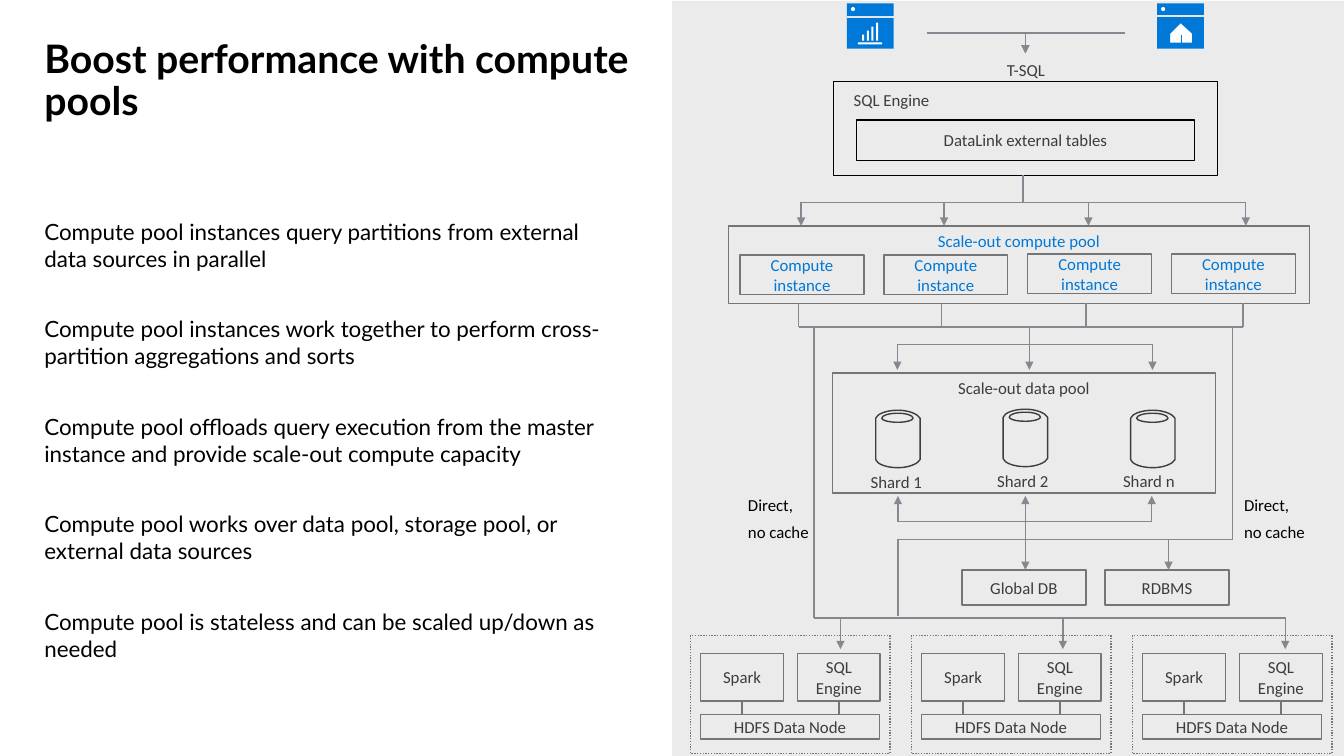
import pptx
import pptx.dml.color
import pptx.enum.dml
import pptx.enum.shapes
import pptx.enum.text
import pptx.oxml
import pptx.oxml.ns
import pptx.util

color = pptx.dml.color.RGBColor.from_string
kinds = pptx.enum.shapes.MSO_SHAPE
wires = pptx.enum.shapes.MSO_CONNECTOR
aligns = pptx.enum.text.PP_ALIGN
anchors = pptx.enum.text.MSO_ANCHOR
points = pptx.util.Pt
cell = pptx.util.Inches(0.01)
drawing = pptx.oxml.ns.nsdecls("a")

INK, BLUE, BLACK, WHITE = "3C3C41", "0078D7", "000000", "FFFFFF"
EDGE, WIRE = "757575", "878790"

deck = pptx.Presentation()
deck.slide_width, deck.slide_height = 1333 * cell, 750 * cell
page = deck.slides.add_slide(deck.slide_layouts[1])


def add_box(kind, at, words="", ink=INK, fill=None, edge=None, align=aligns.CENTER,
            spacing=None, after=0, **frame_format):
    place = [round(length * cell) for length in at]
    if kind is None:
        box = page.shapes.add_textbox(*place)
    else:
        if isinstance(kind, list):
            corners = [(round(x * cell), round(y * cell)) for x, y in kind]
            builder = page.shapes.build_freeform(*corners[0])
            builder.add_line_segments(corners[1:], close=True)
            box = builder.convert_to_shape()
        else:
            box = page.shapes.add_shape(kind, *place)
        box.shadow.inherit = False
        if fill:
            box.fill.solid()
            box.fill.fore_color.rgb = color(fill)
        else:
            box.fill.background()
        if edge:
            box.line.color.rgb = color(edge)
            box.line.width = points(1)
        else:
            box.line.fill.background()
    if words:
        frame = box.text_frame
        for name, value in {"word_wrap": True, "vertical_anchor": anchors.TOP, **frame_format}.items():
            setattr(frame, name, value)
        for index, wording in enumerate(words.split("\n")):
            para = frame.add_paragraph() if index else frame.paragraphs[0]
            for name, value in {"alignment": align, "line_spacing": spacing, "space_after": points(after)}.items():
                setattr(para, name, value)
            span = para.add_run()
            span.text = wording
            span.font.color.rgb = color(ink)
            for name, value in {"name": "Calibri", "size": points(12)}.items():
                setattr(span.font, name, value)
    return box


def add_wire(x1, y1, x2, y2, arrow=False, ink=WIRE, weight=1, bent=False):
    ends = [round(length * cell) for length in (x1, y1, x2, y2)]
    wire = page.shapes.add_connector(wires.ELBOW if bent else wires.STRAIGHT, *ends)
    if bent:
        wire._element.spPr.find(pptx.oxml.ns.qn("a:prstGeom")).set("prst", "bentConnector2")
    wire.line.color.rgb = color(ink)
    wire.line.width = points(weight)
    if arrow:
        wire.line._get_or_add_ln().append(pptx.oxml.parse_xml(f'<a:tailEnd {drawing} type="triangle"/>'))
    wire._element.spPr.append(pptx.oxml.parse_xml(f'<a:effectLst {drawing}/>'))


points_made = [
    "Compute pool instances query partitions from external data sources in parallel",
    "Compute pool instances work together to perform cross-partition aggregations and sorts",
    "Compute pool offloads query execution from the master instance and provide scale-out compute capacity",
    "Compute pool works over data pool, storage pool, or external data sources",
    "Compute pool is stateless and can be scaled up/down as needed",
]
title, body = page.shapes.title, page.placeholders[1]
for holder, at, lines, size, bold, spacing, gap in (
    (title, (34, 34, 620, 98), ["Boost performance with compute pools"], 28, True, 0.9, 0),
    (body, (34, 211.4, 598, 500), points_made, 16, False, 1.0, 31.2),
):
    holder.left, holder.top, holder.width, holder.height = [round(length * cell) for length in at]
    frame = holder.text_frame
    for name, value in {"word_wrap": True, "vertical_anchor": anchors.TOP,
                        "auto_size": pptx.enum.text.MSO_AUTO_SIZE.NONE}.items():
        setattr(frame, name, value)
    for index, wording in enumerate(lines):
        para = frame.add_paragraph() if index else frame.paragraphs[0]
        for name, value in {"alignment": aligns.LEFT, "line_spacing": spacing,
                            "space_before": points(gap if index else 0), "space_after": points(0)}.items():
            setattr(para, name, value)
        properties = para._p.get_or_add_pPr()
        properties.set("marL", "0")
        properties.set("indent", "0")
        properties.append(pptx.oxml.parse_xml(f'<a:buNone {drawing}/>'))
        span = para.add_run()
        span.text = wording
        span.font.color.rgb = color(BLACK)
        for name, value in {"name": "Lato", "size": points(size), "bold": bold}.items():
            setattr(span.font, name, value)

add_box(kinds.RECTANGLE, (666.6, 1, 668, 750), fill="EBEBEB")

for left, bar in ((840, 17), (1147.6, 16)):
    add_box(kinds.RECTANGLE, (left, 3.3, 46.4, 45), fill=BLUE)
    add_wire(left + 46.4, bar, left, bar, ink="E6E6E6", weight=1.5)
    add_box(kinds.OVAL, (left + 4, 7, 4, 4), fill=WHITE)
add_box(kinds.RECTANGLE, (851, 42, 24, 2), fill=WHITE)
for index, height in enumerate((6, 10, 14, 18)):
    add_box(kinds.RECTANGLE, (855 + 4.67 * index, 40.4 - height, 2, height), fill=WHITE)
house = [(1160, 43), (1160, 33), (1171, 22), (1183, 33), (1183, 43)]
add_box(house, (), fill=WHITE, edge=BLUE)
add_wire(1172, 35, 1172, 43, ink=BLUE)

for start in (919, 1116):
    add_wire(start, 32.6, 1017, 53, arrow=True, bent=True)
add_box(None, (952, 57, 131, 28), "T-SQL", spacing=0.9)
add_box(kinds.RECTANGLE, (826.6, 81, 381, 93), "SQL Engine", edge=BLACK, align=aligns.LEFT, spacing=0.9,
        margin_left=20 * cell, margin_top=10 * cell, margin_right=20 * cell, margin_bottom=16 * cell)
add_box(kinds.RECTANGLE, (849.6, 119, 335, 40), "DataLink external tables", edge=BLACK,
        vertical_anchor=anchors.MIDDLE)

add_wire(1014.6, 200, 1014.6, 174)
add_wire(794, 201, 1236, 201)
add_box(kinds.RECTANGLE, (722.6, 224.4, 576, 77), "Scale-out compute pool", ink=BLUE, edge=EDGE)
for index, entry in enumerate((794.6, 936.4, 1079.6, 1235.6)):
    add_wire(entry, 200, entry, 224, arrow=True)
    add_box(kinds.RECTANGLE, (734 + 142.6 * index, 253 - index // 2, 123, 39), "Compute instance",
            ink=BLUE, edge=EDGE, vertical_anchor=anchors.MIDDLE)
    add_wire(entry - 2.6, 324, entry - 2.6, 301)
add_wire(792, 324.4, 1233, 324.4)

add_wire(1021, 324, 1021, 350)
add_wire(890, 342, 1144, 342)
add_box(kinds.RECTANGLE, (825.6, 370, 380, 119), "Scale-out data pool", edge=EDGE)
add_wire(890, 517.6, 1142, 517.6)
cylinder_path = (
    ("M", (22, 3)), ("C", (13, 3, 6, 5, 6, 8)), ("C", (6, 10, 13, 12, 22, 12)),
    ("C", (30, 12, 37, 10, 37, 8)), ("C", (37, 5, 30, 3, 22, 3)), ("Z", ()),
    ("M", (22, 0)), ("C", (33, 0, 42, 4, 44, 8)), ("L", (44, 49)), ("C", (42, 53, 33, 57, 22, 57)),
    ("C", (10, 57, 1, 53, 0, 49)), ("L", (0, 8)), ("C", (1, 4, 10, 0, 22, 0)), ("Z", ()),
)
commands = {"M": "moveTo", "L": "lnTo", "C": "cubicBezTo", "Z": "close"}
for shard, drum_left, drum_top, middle, entry, label_left, label_top, source in (
    ("Shard 1", 868.6, 407, 890.6, 890, 852.5, 465, 518),
    ("Shard 2", 995, 406, 1017, 1021, 978, 464, 535),
    ("Shard n", 1121.4, 407, 1142.4, 1143, 1103, 464, 518),
):
    add_wire(entry, 342, entry, 367, arrow=True)
    add_wire(middle, source, middle, 492, arrow=True)
    add_box(None, (label_left, label_top, 73, 28), shard, spacing=0.9, word_wrap=False)
    frame_corners = [(drum_left + x, drum_top + y) for x, y in ((0, 0), (44, 0), (44, 57), (0, 57))]
    cylinder = add_box(frame_corners, (), edge=INK)
    outline = next(cylinder._element.iter(pptx.oxml.ns.qn("a:path")))
    outline.set("w", "44")
    outline.set("h", "57")
    for command in list(outline):
        outline.remove(command)
    for letter, numbers in cylinder_path:
        dots = "".join(f'<a:pt x="{x}" y="{y}"/>' for x, y in zip(numbers[::2], numbers[1::2]))
        name = commands[letter]
        outline.append(pptx.oxml.parse_xml(f'<a:{name} {drawing}>{dots}</a:{name}>'))

for database, left, middle, start in (("Global DB", 954, 1017, 530), ("RDBMS", 1096, 1159, 535)):
    add_box(kinds.RECTANGLE, (left, 565.4, 123, 35), database, edge=EDGE, vertical_anchor=anchors.MIDDLE)
    add_wire(middle, start, middle, 565.4, arrow=True)
add_wire(890.6, 535, 1223, 535)
add_wire(890.6, 535, 890.6, 611)
add_wire(807.4, 324, 807.4, 613)
add_wire(1222.6, 324, 1222.6, 535)
for left in (732, 1224):
    add_box(None, (left, 488.4, 81, 55), "Direct,\nno cache", ink=BLACK, align=aligns.LEFT,
            spacing=0.9, after=6, word_wrap=False)

add_wire(807, 613, 1275, 613)
for index in range(3):
    left = 684.6 + 219.2 * index
    add_wire(833.6 + 220.6 * index, 613, 833.6 + 220.6 * index, 644, arrow=True)
    node = add_box(kinds.RECTANGLE, (left, 630.6, 198, 117), edge="767676")
    node.line.dash_style = pptx.enum.dml.MSO_LINE.ROUND_DOT
    for part, offset, top, width, height in (
        ("SQL Engine", 106.4, 648.4, 82, 47), ("HDFS Data Node", 10, 709, 178, 24), ("Spark", 10.4, 648.4, 82, 47),
    ):
        add_box(kinds.RECTANGLE, (left + offset, top, width, height), part, edge=EDGE,
                vertical_anchor=anchors.MIDDLE)
    for offset in (51.4, 147.4):
        add_wire(left + offset, 696, left + offset, 709, ink=EDGE)

deck.save("out.pptx")
